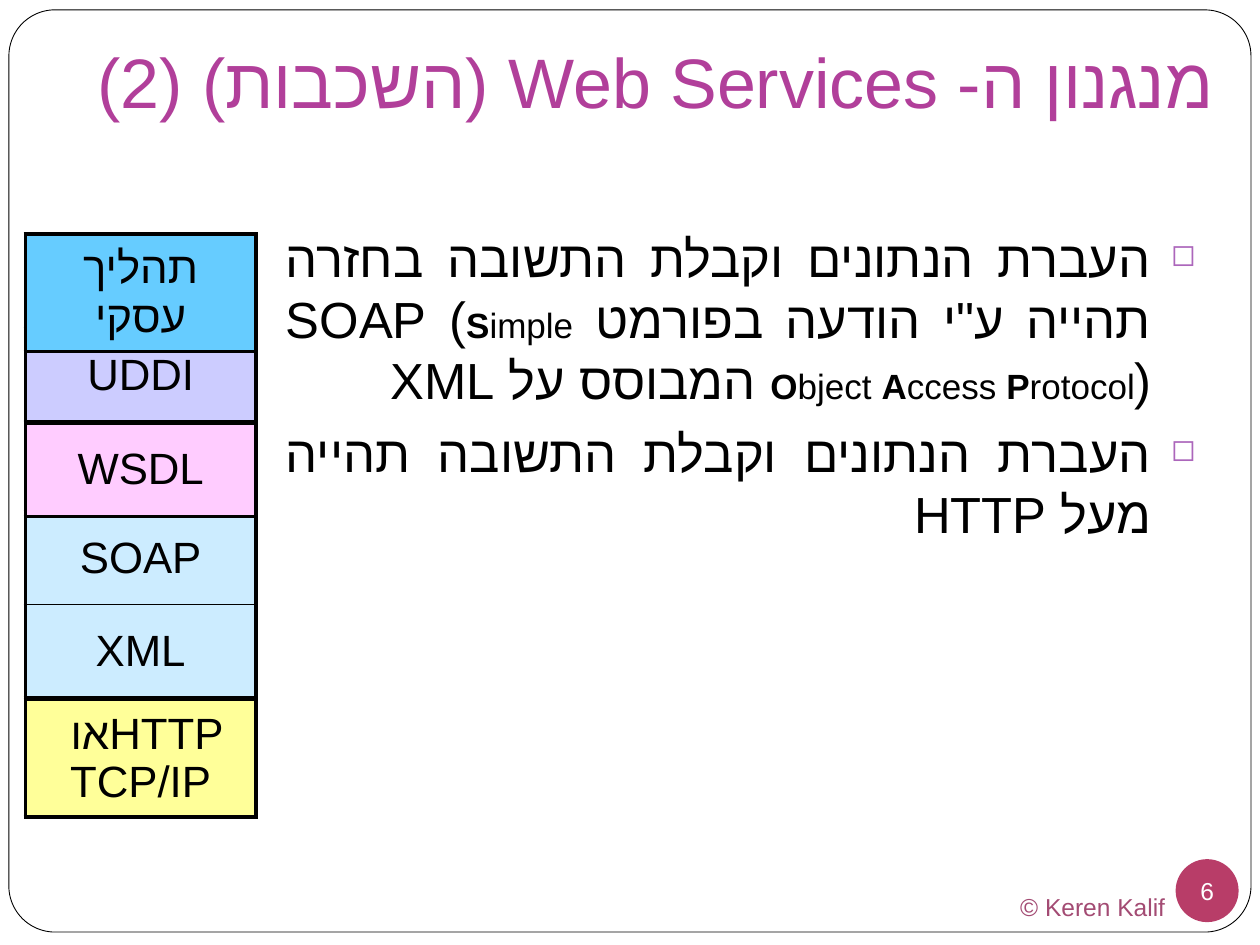
from lxml.etree import SubElement
from pptx import Presentation
from pptx.dml.color import RGBColor
from pptx.enum.shapes import MSO_SHAPE as Shape
from pptx.enum.text import MSO_ANCHOR as Anchor, PP_ALIGN as Align
from pptx.oxml.ns import qn
from pptx.util import Cm, Pt

FONT = "Arial"
COLORS = {
    "white": "FFFFFF", "black": "000000", "title": "B13F9A",
    "bullet": "AC66BB", "badge": "B83D68", "credit": "A34B73",
    "process": "66CCFF", "uddi": "CCCCFF", "wsdl": "FFCCFF",
    "message": "CCECFF", "transport": "FFFF99",
}
STACK_LEFT, STACK_WIDTH, ROW_HEIGHT = 0.51, 4.65, 1.88
THICK, THIN = 2.25, 1

# Each table of the layer stack: top, row height, fill, layer names
LAYERS = [
    (10.31, ROW_HEIGHT, "message", ["SOAP", "XML"]),
    (14.1, 2.26, "transport", [" אוHTTP TCP/IP"]),
    (8.53, ROW_HEIGHT, "wsdl", ["WSDL"]),
    (6.63, ROW_HEIGHT, "uddi", ["UDDI"]),
    (4.72, ROW_HEIGHT, "process", ["תהליך עסקי"]),
]

# Each bullet: runs of text, size, bold
BULLETS = [
    [("העברת הנתונים וקבלת התשובה בחזרה תהייה ע\"י הודעה בפורמט SOAP (", 29, False),
     ("S", 20, True), ("imple ", 20, False),
     ("O", 20, True), ("bject ", 20, False),
     ("A", 20, True), ("ccess ", 20, False),
     ("P", 20, True), ("rotocol", 20, False),
     (") המבוסס על XML", 29, False)],
    [("העברת הנתונים וקבלת התשובה תהייה מעל HTTP", 29, False)],
]


def rgb(name):
    return RGBColor.from_string(COLORS[name])


def style_span(span, size, color, bold=False):
    span.font.size = Pt(size)
    span.font.bold = bold
    span.font.name = FONT
    span.font.color.rgb = rgb(color)
    # Hebrew takes the complex-script font
    SubElement(span.font._element, qn("a:cs"), typeface=FONT)


def style_para(para, align, size, color):
    para.alignment = align
    for span in para.runs:
        style_span(span, size, color)


def set_rtl(para):
    para._p.get_or_add_pPr().set("rtl", "1")


def add_bullet(para):
    props = para._p.get_or_add_pPr()
    props.set("marL", str(Cm(0.89)))
    props.set("indent", str(-Cm(0.89)))
    color = SubElement(props, qn("a:buClr"))
    SubElement(color, qn("a:srgbClr"), val=COLORS["bullet"])
    SubElement(props, qn("a:buSzPct"), val="60000")
    SubElement(props, qn("a:buChar"), char="◻")


def add_figure(page, kind, left, top, width, height, fill=None, line=None):
    figure = page.shapes.add_shape(kind, Cm(left), Cm(top), Cm(width), Cm(height))
    figure.shadow.inherit = False
    if fill:
        figure.fill.solid()
        figure.fill.fore_color.rgb = rgb(fill)
    else:
        figure.fill.background()
    if line:
        figure.line.color.rgb = rgb(line)
        figure.line.width = Pt(0.5)
    else:
        figure.line.fill.background()
    return figure


def add_label(figure, text, color):
    frame = figure.text_frame
    frame.word_wrap = False
    frame.vertical_anchor = Anchor.MIDDLE
    frame.margin_left = frame.margin_right = 0
    frame.margin_top = frame.margin_bottom = 0
    frame.text = text
    style_para(frame.paragraphs[0], Align.CENTER, 14, color)


def add_text_box(page, left, top, width, height):
    box = page.shapes.add_textbox(Cm(left), Cm(top), Cm(width), Cm(height))
    box.text_frame.word_wrap = True
    return box.text_frame


def add_title(page, text):
    frame = add_text_box(page, 0.51, 0.76, 24.2, 1.96)
    frame.vertical_anchor = Anchor.BOTTOM
    frame.margin_bottom = Cm(0.25)
    frame.text = text
    para = frame.paragraphs[0]
    set_rtl(para)
    style_para(para, Align.RIGHT, 40, "title")


def add_bullets(page, bullets):
    frame = add_text_box(page, 5.51, 4.45, 18.85, 12.5)
    for index, pieces in enumerate(bullets):
        para = frame.add_paragraph() if index else frame.paragraphs[0]
        para.alignment = Align.JUSTIFY
        set_rtl(para)
        add_bullet(para)
        if index:
            para.space_before = Pt(7)
        for text, size, bold in pieces:
            span = para.add_run()
            span.text = text
            style_span(span, size, "black", bold)


def set_borders(cell, top, bottom):
    props = cell._tc.get_or_add_tcPr()
    widths = {"a:lnL": THICK, "a:lnR": THICK, "a:lnT": top, "a:lnB": bottom}
    for tag, width in widths.items():
        line = SubElement(props, qn(tag), w=str(Pt(width)))
        fill = SubElement(line, qn("a:solidFill"))
        SubElement(fill, qn("a:srgbClr"), val=COLORS["black"])


def add_layers(page, top, row_height, fill, names):
    count = len(names)
    table = page.shapes.add_table(
        count, 1, Cm(STACK_LEFT), Cm(top), Cm(STACK_WIDTH), Cm(row_height * count)).table
    table.first_row = table.horz_banding = False
    for index, name in enumerate(names):
        cell = table.cell(index, 0)
        set_borders(cell, THIN if index else THICK,
                    THIN if index < count - 1 else THICK)
        cell.fill.solid()
        cell.fill.fore_color.rgb = rgb(fill)
        cell.vertical_anchor = Anchor.MIDDLE
        cell.text_frame.text = name
        style_para(cell.text_frame.paragraphs[0], Align.CENTER, 25, "black")


def main():
    deck = Presentation()
    deck.slide_width, deck.slide_height = Cm(25.4), Cm(19.05)
    page = deck.slides.add_slide(deck.slide_layouts[6])

    # Frame, page number and credit
    frame = add_figure(page, Shape.ROUNDED_RECTANGLE, 0.18, 0.2, 25.04, 18.59,
                       "white", "black")
    frame.adjustments[0] = 0.05
    badge = add_figure(page, Shape.OVAL, 23.7, 17.32, 1.27, 1.27, "badge")
    add_label(badge, "6", "white")
    credit = add_figure(page, Shape.OVAL, 20.29, 17.65, 3.48, 1.27)
    add_label(credit, "© Keren Kalif", "credit")

    # Title and bullets
    add_title(page, "מנגנון ה- Web Services (השכבות) (2)")
    add_bullets(page, BULLETS)

    # Layer stack
    for layer in LAYERS:
        add_layers(page, *layer)

    deck.save("out.pptx")


if __name__ == "__main__":
    main()
